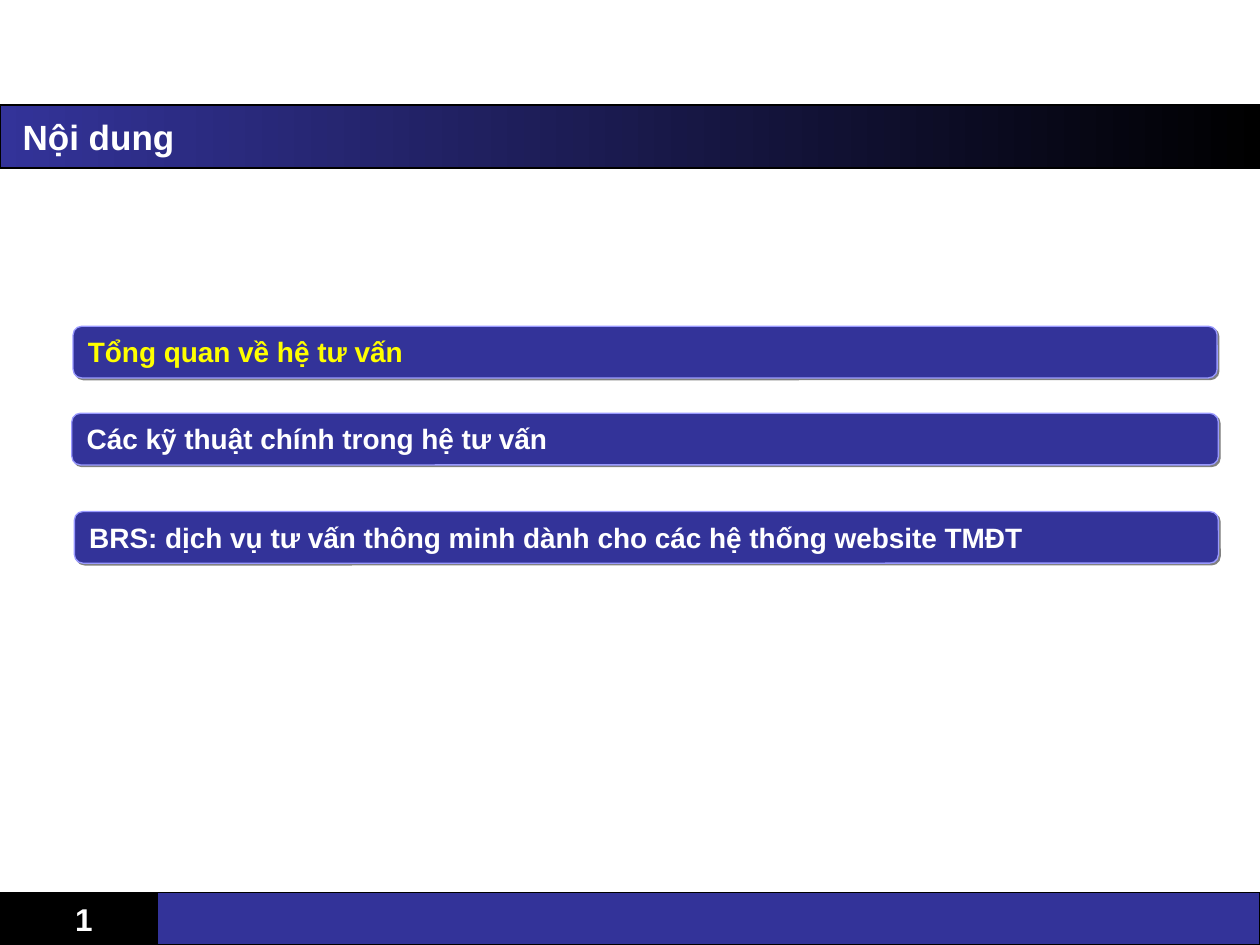
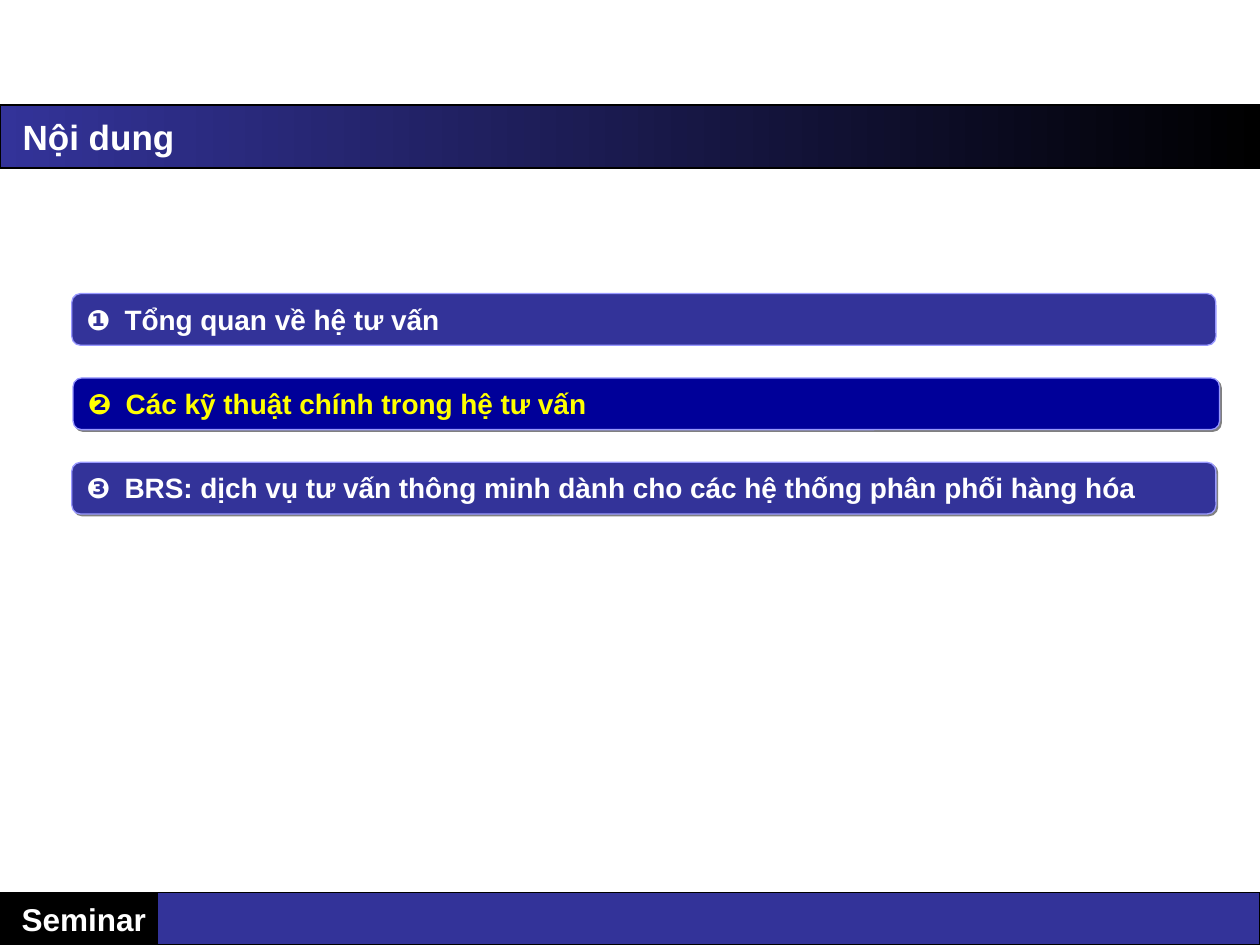
from pptx import Presentation
from pptx.dml.color import RGBColor
from pptx.enum.shapes import MSO_SHAPE
from pptx.enum.text import MSO_ANCHOR, MSO_AUTO_SIZE, PP_ALIGN
from pptx.oxml import parse_xml
from pptx.oxml.ns import nsdecls, qn
from pptx.util import Inches, Pt

WIDE, HIGH = Inches(10), Inches(7.5)
FONT = "Arial"
WHITE = RGBColor(0xFF, 0xFF, 0xFF)
BLACK = RGBColor(0, 0, 0)
INDIGO = RGBColor(0x33, 0x33, 0x99)
NAVY = RGBColor(0, 0, 0x99)
LILAC = RGBColor(0x99, 0x99, 0xFF)
YELLOW = RGBColor(0xFF, 0xFF, 0)
GREY = RGBColor(0x80, 0x80, 0x80)

BAR_HIGH = 5.47
TAB = Inches(0.3)


def add_box(slide, kind, area, fill, edge):
    """Draw a filled shape; area is left, top, width, height in percent of the slide."""
    left, top, width, height = area
    box = slide.shapes.add_shape(
        kind, int(WIDE * left / 100), int(HIGH * top / 100),
        int(WIDE * width / 100), int(HIGH * height / 100))
    box.shadow.inherit = False
    box.fill.solid()
    box.fill.fore_color.rgb = fill
    box.line.color.rgb = edge
    box.line.width = Pt(0.75)
    return box


def put_text(box, text, size, color=WHITE, align=PP_ALIGN.LEFT, anchor=MSO_ANCHOR.MIDDLE):
    """Write one bold line in a shape."""
    frame = box.text_frame
    frame.word_wrap = True
    frame.vertical_anchor = anchor
    frame.text = text
    line = frame.paragraphs[0]
    line.alignment = align
    for run in line.runs:
        font = run.font
        font.name, font.size, font.bold = FONT, Pt(size), True
        font.color.rgb = color
    return line


def add_shade(box):
    """Give a shape a hard grey shadow towards the lower right."""
    shade = parse_xml(
        f'<a:outerShdw {nsdecls("a")} blurRad="0" dist="{Pt(1.4)}" dir="2700000" '
        f'algn="ctr" rotWithShape="0"><a:srgbClr val="{GREY}"/></a:outerShdw>')
    box._element.spPr.find(qn("a:effectLst")).append(shade)


def add_tab(line):
    """Set the tab stop that follows a numeral."""
    stops = parse_xml(
        f'<a:tabLst {nsdecls("a")}><a:tab pos="{TAB}" algn="l"/></a:tabLst>')
    line._p.get_or_add_pPr().append(stops)


def add_frame(deck, title, label):
    """Add a slide with the title band and the footer."""
    slide = deck.slides.add_slide(deck.slide_layouts[6])
    band = add_box(slide, MSO_SHAPE.RECTANGLE, (0, 11.11, 100, 6.67), INDIGO, BLACK)
    band.fill.gradient()
    band.fill.gradient_angle = 0
    for stop, color in zip(band.fill.gradient_stops, (INDIGO, BLACK)):
        stop.color.rgb = color
    put_text(band, title, 20)
    band.text_frame.margin_left = Inches(0.18)
    tag = add_box(slide, MSO_SHAPE.RECTANGLE, (0, 94.44, 13.3, 5.56), BLACK, BLACK)
    put_text(tag, label, 18, align=PP_ALIGN.CENTER)
    add_box(slide, MSO_SHAPE.RECTANGLE, (12.5, 94.44, 87.5, 5.56), INDIGO, BLACK)
    return slide


def add_bar(slide, text, left, top, width, fill=INDIGO, color=WHITE, shade=True):
    """Add one topic bar of the outline."""
    area = (left, top, width, BAR_HIGH)
    bar = add_box(slide, MSO_SHAPE.ROUNDED_RECTANGLE, area, fill, LILAC)
    bar.adjustments[0] = 0.167
    line = put_text(bar, text, 16, color, anchor=MSO_ANCHOR.TOP)
    bar.text_frame.auto_size = MSO_AUTO_SIZE.SHAPE_TO_FIT_TEXT
    if "\t" in text:
        add_tab(line)
    if shade:
        add_shade(bar)


def main():
    """Build both outline slides."""
    deck = Presentation()
    deck.slide_width, deck.slide_height = WIDE, HIGH

    slide = add_frame(deck, "Nội dung", "1")
    add_bar(slide, "Tổng quan về hệ tư vấn", 5.8, 34.53, 90.8, color=YELLOW)
    add_bar(slide, "Các kỹ thuật chính trong hệ tư vấn", 5.7, 43.73, 91)
    add_bar(slide, "BRS: dịch vụ tư vấn thông minh dành cho các hệ thống website TMĐT",
            5.9, 54.13, 90.8)

    slide = add_frame(deck, "Nội dung", "Seminar")
    first, step = 31.07, 8.93
    add_bar(slide, "❶\tTổng quan về hệ tư vấn", 5.7, first, 90.8, shade=False)
    add_bar(slide, "❷\tCác kỹ thuật chính trong hệ tư vấn", 5.8, first + step, 91,
            fill=NAVY, color=YELLOW)
    add_bar(slide, "❸\tBRS: dịch vụ tư vấn thông minh dành cho các hệ thống phân phối hàng hóa",
            5.7, first + 2 * step, 90.8)

    deck.save("out.pptx")


if __name__ == "__main__":
    main()
